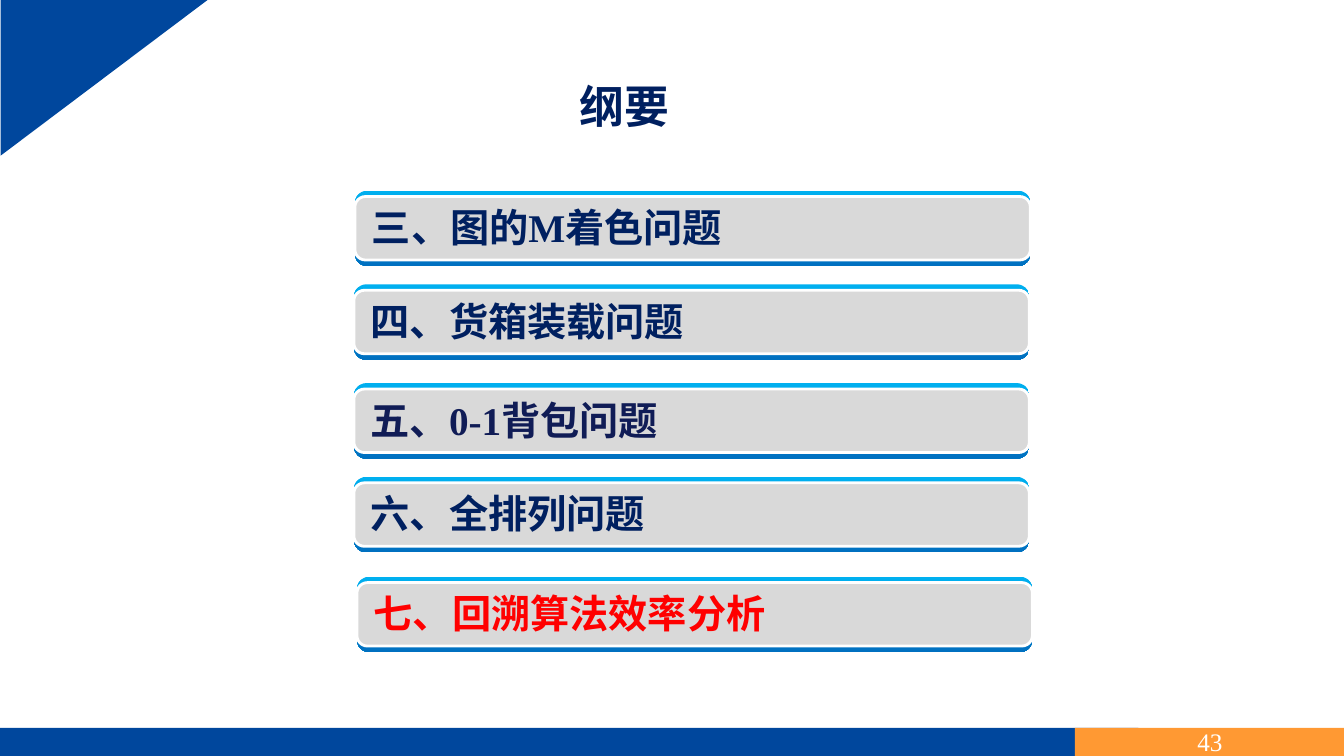
import pptx
import pptx.dml.color
import pptx.enum.shapes
import pptx.enum.text
import pptx.util

Inches = pptx.util.Inches
SHAPE = pptx.enum.shapes.MSO_SHAPE
ALIGN = pptx.enum.text.PP_ALIGN
NAVY, BLUE, ORANGE, WHITE = "002060", "00479D", "FF9933", "FFFFFF"
rgb = pptx.dml.color.RGBColor.from_string


def add_block(shapes, kind, x, y, w, h, fill, line=None):
    """Add a shape with a solid fill, or a top-to-bottom gradient for a pair."""
    sp = shapes.add_shape(kind, Inches(x), Inches(y), Inches(w), Inches(h))
    sp.shadow.inherit = False
    if isinstance(fill, tuple):
        sp.fill.gradient()
        sp.fill.gradient_angle = 270
        for stop, color in zip(sp.fill.gradient_stops, fill):
            stop.color.rgb = rgb(color)
    else:
        sp.fill.solid()
        sp.fill.fore_color.rgb = rgb(fill)
    if line:
        sp.line.color.rgb = rgb(line)
        sp.line.width = pptx.util.Pt(2)
    else:
        sp.line.fill.background()
    return sp


def write(sp, text, size=28, color=NAVY, bold=True, align=ALIGN.LEFT, grow=True):
    tf = sp.text_frame
    tf.word_wrap = True
    if grow:
        tf.auto_size = pptx.enum.text.MSO_AUTO_SIZE.SHAPE_TO_FIT_TEXT
    p = tf.paragraphs[0]
    p.alignment = align
    r = p.add_run()
    r.text = text
    r.font.name = "Times New Roman"
    r.font.size = pptx.util.Pt(size)
    r.font.bold = bold
    r.font.color.rgb = rgb(color)


prs = pptx.Presentation()
prs.slide_width, prs.slide_height = Inches(13.33), Inches(7.5)
s = prs.slides.add_slide(prs.slide_layouts[6])

# Footer bar with page number
add_block(s.shapes, SHAPE.RECTANGLE, 0, 7.22, 11.29, 0.28, BLUE)
page = add_block(s.shapes, SHAPE.RECTANGLE, 10.66, 7.22, 2.68, 0.28, ORANGE)
page.text_frame.vertical_anchor = pptx.enum.text.MSO_ANCHOR.MIDDLE
write(page, "43", size=18, color=WHITE, bold=False, align=ALIGN.CENTER, grow=False)

# Corner triangle
corner = add_block(s.shapes, SHAPE.RIGHT_TRIANGLE, 0.26, -0.26, 1.55, 2.06, BLUE)
corner.rotation = 90

# Title
title = s.shapes.add_textbox(Inches(4), Inches(0.73), Inches(4.38), Inches(0.64))
write(title, "纲要", size=32, align=ALIGN.CENTER)

# Agenda bars: a gradient edge behind a grey face, then the label
agenda = [
    ("三、图的M着色问题", 3.52, 1.89, NAVY),
    ("四、货箱装载问题", 3.51, 2.82, NAVY),
    ("五、0-1背包问题", 3.51, 3.8, "101C56"),
    ("六、全排列问题", 3.51, 4.73, NAVY),
    ("七、回溯算法效率分析", 3.54, 5.72, "FF0000"),
]
for text, x, y, color in agenda:
    bar = s.shapes.add_group_shape().shapes
    edge = add_block(bar, SHAPE.ROUNDED_RECTANGLE, x, y, 6.7, 0.75, ("00B0F0", "0070C0"))
    face = add_block(bar, SHAPE.ROUNDED_RECTANGLE, x, y + 0.06, 6.7, 0.63, "D9D9D9", WHITE)
    for sp in (edge, face):
        sp.adjustments[0] = 0.167
    label = bar.add_textbox(Inches(x + 0.07), Inches(y + 0.08), Inches(6.63), Inches(0.57))
    write(label, text, color=color)

prs.save("out.pptx")
